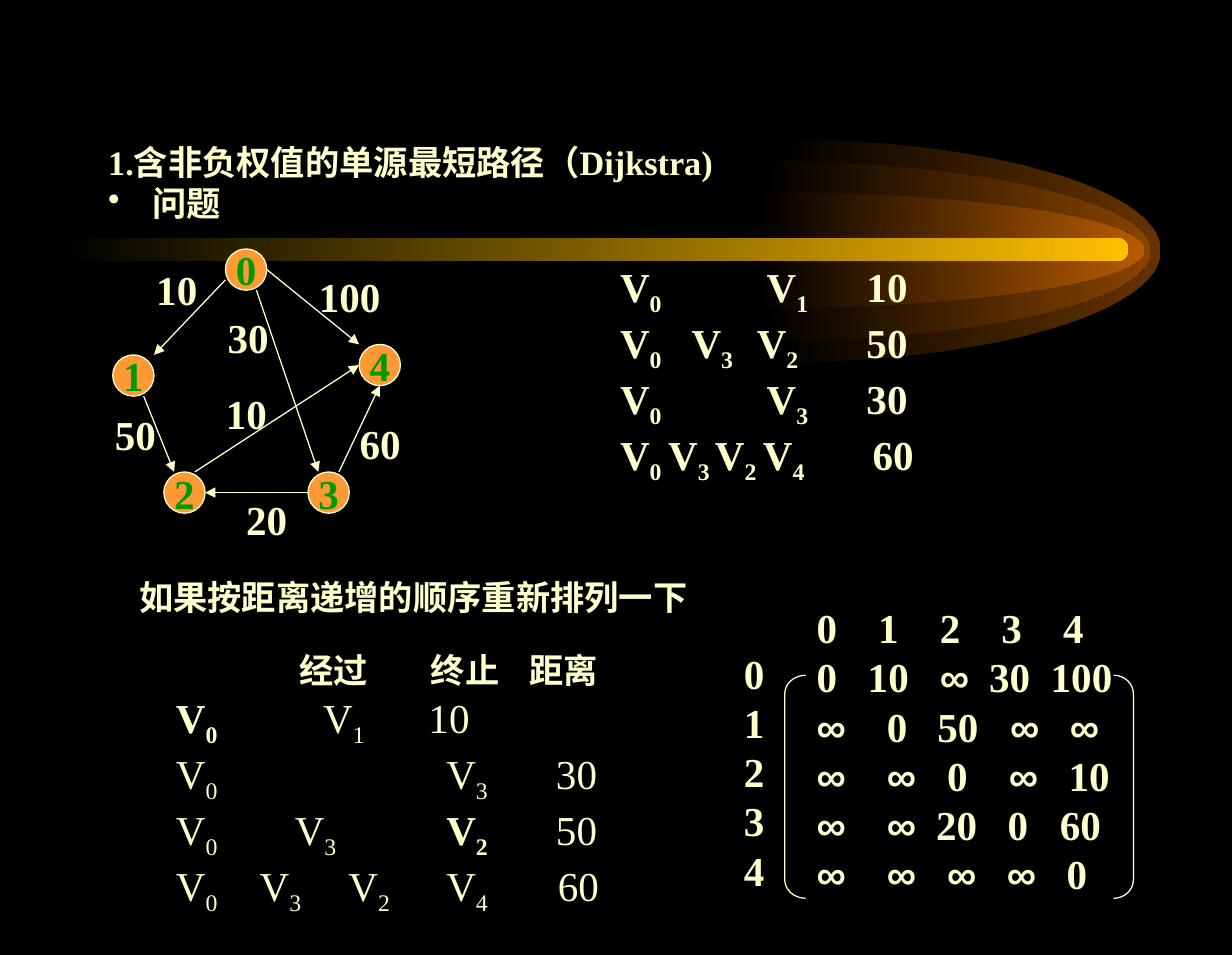
import itertools
from typing import NamedTuple, Optional

import pptx
import pptx.dml.color
import pptx.enum.shapes
import pptx.enum.text
import pptx.oxml.ns
import pptx.util
from lxml import etree

RGB = pptx.dml.color.RGBColor
BLACK = RGB(0, 0, 0)
CREAM = RGB(0xFF, 0xFF, 0xCC)
ORANGE = RGB(0xFF, 0x99, 0x33)
GREEN = RGB(0x00, 0x99, 0x00)
BROWN = RGB(0x66, 0x33, 0x00)
RUST = RGB(0x89, 0x44, 0x00)
AMBER = RGB(0xB7, 0x5B, 0x00)
GOLD = RGB(0xFF, 0xBF, 0x00)

FORMS = pptx.enum.shapes.MSO_SHAPE
WIDE, HIGH = 10, 7.75
CELL = pptx.util.Inches(0.1)
SIDE = 3.35
BEND = 0.55
SERIF, SANS = "Times New Roman", "Arial"
BOX = {"word_wrap": True, "margin_right": 0}
DISC = {"word_wrap": False, "margin_left": 0, "margin_right": 0,
        "vertical_anchor": pptx.enum.text.MSO_ANCHOR.MIDDLE}


class Flame(NamedTuple):
    left: float
    top: float
    height: float
    color: RGB


class Row(NamedTuple):
    text: str
    stops: tuple = ()
    strong: Optional[tuple] = None
    size: int = 24
    pitch: float = 28.8
    bullet: bool = False


class Block(NamedTuple):
    left: float
    top: float
    width: float
    height: float
    rows: list


class Edge(NamedTuple):
    start: int
    leave: tuple
    end: int
    enter: tuple


class Piece(NamedTuple):
    text: str
    face: str
    bold: bool
    low: bool


FLAMES = [Flame(62.9, 11.3, 18.1, BROWN), Flame(62.1, 13.1, 14.6, RUST),
          Flame(61.6, 15.6, 9.4, AMBER)]
NODES = [(18.3, 20.2), (9.15, 28.8), (13.3, 38.3), (25, 38.3), (29.15, 27.95)]
EDGES = [
    Edge(0, (0, 0.75), 1, (1, 0)),
    Edge(0, (1, 0.5), 4, (0, 0)),
    Edge(1, (0.75, 1), 2, (0.25, 0)),
    Edge(3, (0, 0.5), 2, (1, 0.5)),
    Edge(3, (0.75, 0), 4, (0.5, 1)),
    Edge(2, (0.75, 0), 4, (0, 0.5)),
    Edge(0, (0.75, 1), 3, (0.25, 0)),
]
COSTS = [("10", 11.7, 21), ("100", 24.9, 21.5), ("30", 17.5, 24.9),
         ("50", 8.35, 32.7), ("20", 19, 39.6), ("10", 17.35, 31),
         ("60", 28.2, 33.5)]
TALL = 32.7
BLOCKS = [
    Block(7.8, 11, 53, 7.7, [
        Row("1.含非负权值的单源最短路径（Dijkstra)", size=20, pitch=24),
        Row("问题", size=20, pitch=24, bullet=True)]),
    Block(49.35, 20.7, 26, 19.2, [
        Row("V0|V1|10", (11.9, 20), pitch=TALL),
        Row("V0|V3|V2|50", (5.8, 11.1, 20), pitch=TALL),
        Row("V0|V3|30", (11.9, 20), pitch=TALL),
        Row("V0|V3|V2|V4|60", (3.9, 7.7, 11.6, 20.5), pitch=TALL)]),
    Block(10.3, 46.25, 46.5, 4.4, [
        Row("如果按距离递增的顺序重新排列一下", size=20, pitch=24)]),
    Block(13.3, 51.7, 37, 23.2, [
        Row("|经过|终止|距离", (10, 20.7, 28.7), size=20, pitch=27.6),
        Row("V0|V1|10", (11.95, 20.5), (0,), pitch=33.9),
        Row("V0|V3|30", (21.95, 30.85), (), pitch=TALL),
        Row("V0|V3|V2|50", (9.65, 21.95, 30.85), (2,), pitch=TALL),
        Row("V0|V3|V2|V4|60", (6.8, 14, 21.95, 31), (), pitch=TALL)]),
    Block(65.3, 48.4, 26.5, 25, [
        Row("0|1|2|3|4", (5, 10, 15, 20)),
        Row("0|10|∞|30|100", (4.15, 10, 14, 19)),
        Row("∞|0|50|∞|∞", (5.7, 9.8, 15.7, 20.55)),
        Row("∞|∞|0|∞|10", (5.7, 10.6, 15.6, 20.45)),
        Row("∞|∞|20|0|60", (5.7, 9.7, 15.5, 19.75)),
        Row("∞|∞|∞|∞|0", (5.7, 10.6, 15.45, 20.3))]),
    Block(59.4, 52.1, 3.6, 21, [Row(str(n)) for n in range(5)]),
] + [Block(x, y, 2 + 1.7 * len(text), 5, [Row(text)]) for text, x, y in COSTS]


def grid(*cells: float) -> list:
    return [round(CELL * cell) for cell in cells]


def apply(target, values: dict) -> None:
    for name, value in values.items():
        setattr(target, name, value)


def tag(parent, name: str, **values):
    return etree.SubElement(parent, pptx.oxml.ns.qn("a:" + name), values)


def shade(shape, color: RGB) -> None:
    shape.shadow.inherit = False
    shape.line.fill.background()
    shape.fill.gradient()
    shape.fill.gradient_angle = 0
    for stop, tone in zip(shape.fill.gradient_stops, (BLACK, color)):
        stop.color.rgb = tone


def outline(line) -> None:
    line.color.rgb = CREAM
    line.width = pptx.util.Pt(0.75)


def curve(shapes, start: tuple, steps: list, close: bool):
    maker = shapes.build_freeform(*grid(*start))
    maker.add_line_segments(
        [grid(*spot) for step in steps for spot in step], close=close)
    shape = maker.convert_to_shape()
    lines = iter(list(shape._element.iter(pptx.oxml.ns.qn("a:lnTo"))))
    for step in steps:
        first, *rest = itertools.islice(lines, len(step))
        if rest:
            first.tag = pptx.oxml.ns.qn("a:cubicBezTo")
            for line in rest:
                first.append(line[0])
                line.getparent().remove(line)
    return shape


def draw_flame(shapes, flame: Flame) -> None:
    left, top, height, color = flame
    half, reach = height / 2, 31.3
    middle, right, bend = top + half, left + reach, left + reach * BEND
    steps = [
        [(bend, top), (right, middle - half * BEND), (right, middle)],
        [(right, middle + half * BEND), (bend, top + height),
         (left, top + height)],
        [(left, middle)],
    ]
    shade(curve(shapes, (left, top), steps, True), color)


def draw_bracket(shapes, tip: float, back: float) -> None:
    top, foot, drop = 54.8, 72.9, 1.5
    bend, ease = tip + (back - tip) * BEND, drop * (1 - BEND)
    steps = [
        [(bend, top), (back, top + ease), (back, top + drop)],
        [(back, foot - drop)],
        [(back, foot - ease), (bend, foot), (tip, foot)],
    ]
    mark = curve(shapes, (tip, top), steps, False)
    mark.shadow.inherit = False
    mark.fill.background()
    outline(mark.line)


def split(row: Row) -> list:
    cells = row.text.split("|")
    pieces = []
    for index, cell in enumerate(cells):
        bold = row.strong is None or index in row.strong
        face = SANS if cell == "∞" else SERIF
        gap = "\t" if index < len(cells) - 1 else ""
        if cell.startswith("V"):
            pieces.append(Piece("V", face, bold, False))
            pieces.append(Piece(cell[1:] + gap, face, bold, True))
        else:
            pieces.append(Piece(cell + gap, face, bold, False))
    return pieces


def write(para, pieces: list, size: int, color: RGB) -> None:
    for look, group in itertools.groupby(pieces, lambda piece: piece[1:]):
        face, bold, low = look
        run = para.add_run()
        run.text = "".join(piece.text for piece in group)
        apply(run.font, {"name": face, "size": pptx.util.Pt(size),
                         "bold": bold})
        run.font.color.rgb = color
        if low:
            run.font._element.set("baseline", "-25000")


def draw_row(para, row: Row) -> None:
    props = para._p.get_or_add_pPr()
    if row.bullet:
        indent = grid(3.6)[0]
        props.set("marL", str(indent))
        props.set("indent", str(-indent))
        tag(tag(props, "buClr"), "srgbClr", val=str(CREAM))
        tag(props, "buChar", char="•")
    if row.stops:
        tabs = tag(props, "tabLst")
        for stop in grid(*row.stops):
            tag(tabs, "tab", pos=str(stop), algn="l")
    para.line_spacing = pptx.util.Pt(row.pitch)
    write(para, split(row), row.size, CREAM)


def draw_block(shapes, block: Block) -> None:
    frame = shapes.add_textbox(*grid(*block[:4])).text_frame
    apply(frame, BOX)
    for index, row in enumerate(block.rows):
        draw_row(frame.add_paragraph() if index else frame.paragraphs[0], row)


def draw_node(shapes, name: int, spot: tuple) -> None:
    node = shapes.add_shape(FORMS.OVAL, *grid(*spot, SIDE, SIDE))
    node.shadow.inherit = False
    node.fill.solid()
    node.fill.fore_color.rgb = ORANGE
    outline(node.line)
    apply(node.text_frame, DISC)
    para = node.text_frame.paragraphs[0]
    para.alignment = pptx.enum.text.PP_ALIGN.CENTER
    write(para, split(Row(str(name))), 24, GREEN)


def draw_edge(shapes, edge: Edge) -> None:
    ends = [spot + SIDE * share
            for node, port in ((edge.start, edge.leave), (edge.end, edge.enter))
            for spot, share in zip(NODES[node], port)]
    link = shapes.add_connector(
        pptx.enum.shapes.MSO_CONNECTOR.STRAIGHT, *grid(*ends))
    outline(link.line)
    tag(link.line._get_or_add_ln(), "tailEnd", type="triangle")
    tag(link._element.spPr, "effectLst")


def main() -> None:
    deck = pptx.Presentation()
    deck.slide_width, deck.slide_height = map(pptx.util.Inches, (WIDE, HIGH))
    slide = deck.slides.add_slide(deck.slide_layouts[6])
    slide.background.fill.solid()
    slide.background.fill.fore_color.rgb = BLACK
    shapes = slide.shapes
    for flame in FLAMES:
        draw_flame(shapes, flame)
    bar = shapes.add_shape(FORMS.ROUNDED_RECTANGLE, *grid(5, 19.3, 86.6, 1.9))
    bar.adjustments[0] = 0.5
    shade(bar, GOLD)
    for name, spot in enumerate(NODES):
        draw_node(shapes, name, spot)
    for edge in EDGES:
        draw_edge(shapes, edge)
    for block in BLOCKS:
        draw_block(shapes, block)
    draw_bracket(shapes, 65.4, 63.7)
    draw_bracket(shapes, 90.4, 92)
    deck.save("out.pptx")


if __name__ == "__main__":
    main()
